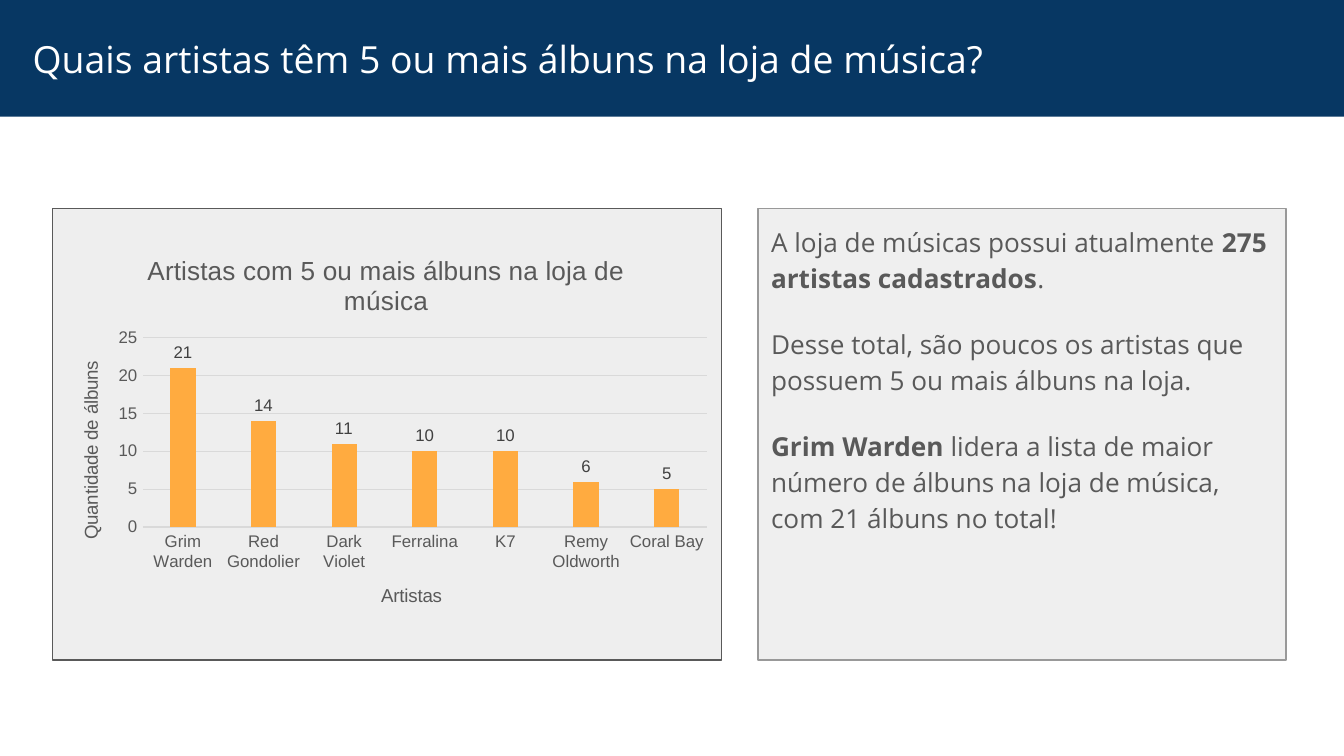
from lxml.etree import SubElement
from pptx import Presentation
from pptx.chart.data import CategoryChartData
from pptx.dml.color import RGBColor
from pptx.enum.chart import XL_CHART_TYPE as ChartType, XL_LABEL_POSITION as LabelPosition, XL_TICK_MARK as TickMark
from pptx.enum.shapes import MSO_SHAPE as Shape
from pptx.enum.text import MSO_ANCHOR as Anchor, PP_ALIGN as Align
from pptx.oxml.ns import qn
from pptx.util import Pt

COLORS = {
    "navy": "073763", "white": "FFFFFF", "panel": "EFEFEF", "chart panel": "EEEEEE",
    "border": "999999", "gray": "595959", "grid": "D9D9D9", "label": "404040", "bar": "FFAB40",
}
ALBUMS = {
    "Grim Warden": 21, "Red Gondolier": 14, "Dark Violet": 11, "Ferralina": 10,
    "K7": 10, "Remy Oldworth": 6, "Coral Bay": 5,
}
FINDINGS = [
    [("A loja de músicas possui atualmente ", False), ("275 artistas cadastrados", True), (".", False)],
    [("Desse total, são poucos os artistas que possuem 5 ou mais álbuns na loja.", False)],
    [("Grim Warden ", True),
     ("lidera a lista de maior número de álbuns na loja de música, com 21 álbuns no total!", False)],
]


class SlideBuilder:
    """Draws styled elements on the current slide."""

    def __init__(self, slide):
        self.slide = slide
        self.text_font = "Open Sans"
        self.chart_font = "Arial"

    def color(self, name):
        return RGBColor.from_string(COLORS[name])

    def style_font(self, font, family, size, color):
        font.name, font.size = family, Pt(size)
        font.color.rgb = self.color(color)

    def panel(self, box, fill, border=None):
        panel = self.slide.shapes.add_shape(Shape.RECTANGLE, *map(Pt, box))
        panel.shadow.inherit = False
        panel.fill.solid()
        panel.fill.fore_color.rgb = self.color(fill)
        if border:
            panel.line.color.rgb = self.color(border)
            panel.line.width = Pt(0.75)
        else:
            panel.line.fill.background()
        return panel

    def text(self, panel, paragraphs, size, color, anchor=Anchor.TOP, indent=7.2, line=1, after=0):
        frame = panel.text_frame
        frame.word_wrap = True
        frame.vertical_anchor = anchor
        frame.margin_left = Pt(indent)
        frame.margin_top = frame.margin_right = frame.margin_bottom = Pt(7.2)
        for index, pieces in enumerate(paragraphs):
            paragraph = frame.add_paragraph() if index else frame.paragraphs[0]
            paragraph.alignment = Align.LEFT
            paragraph.line_spacing, paragraph.space_after = line, Pt(after)
            self.style_font(paragraph.font, self.text_font, size, color)
            for words, bold in pieces:
                run = paragraph.add_run()
                run.text, run.font.bold = words, bold

    def place(self, part, index, **fractions):
        for old in part.findall(qn("c:layout")):
            part.remove(old)
        layout = SubElement(part, qn("c:layout"))
        part.insert(index, layout)
        manual = SubElement(layout, qn("c:manualLayout"))
        if "w" in fractions:
            SubElement(manual, qn("c:layoutTarget")).set("val", "inner")
        for mode in ("xMode", "yMode"):
            SubElement(manual, qn(f"c:{mode}")).set("val", "edge")
        for key, fraction in fractions.items():
            SubElement(manual, qn(f"c:{key}")).set("val", str(fraction))

    def chart_title(self, title, words, size, x, y):
        frame = title.text_frame
        frame.text = words
        font = frame.paragraphs[0].font
        self.style_font(font, self.chart_font, size, "gray")
        font.bold = False
        self.place(title._element, 1, x=x, y=y)

    def axis(self, axis, title, x, y):
        axis.major_tick_mark = axis.minor_tick_mark = TickMark.NONE
        self.style_font(axis.tick_labels.font, self.chart_font, 9, "gray")
        self.chart_title(axis.axis_title, title, 10, x, y)

    def grid_line(self, line):
        line.color.rgb = self.color("grid")
        line.width = Pt(0.75)

    def column_chart(self, box, title, values):
        data = CategoryChartData()
        data.categories = list(values)
        data.add_series("Álbuns", list(values.values()))
        chart = self.slide.shapes.add_chart(ChartType.COLUMN_CLUSTERED, *map(Pt, box), data).chart
        chart.has_legend = False
        self.style_font(chart.font, self.chart_font, 10, "gray")
        self.chart_title(chart.chart_title, title, 14, 0.14, 0.04)
        self.axis(chart.category_axis, "Artistas", 0.49, 0.86)
        self.axis(chart.value_axis, "Quantidade de álbuns", 0.04, 0.31)
        self.grid_line(chart.category_axis.format.line)
        self.grid_line(chart.value_axis.major_gridlines.format.line)
        chart.value_axis.format.line.fill.background()
        chart.value_axis.minimum_scale, chart.value_axis.maximum_scale = 0, 25
        chart.value_axis.major_unit = 5

        plot = chart.plots[0]
        plot.gap_width, plot.overlap, plot.vary_by_categories = 219, -27, False
        bars = plot.series[0]
        bars.format.fill.solid()
        bars.format.fill.fore_color.rgb = self.color("bar")
        labels = bars.data_labels
        labels.show_value, labels.position = True, LabelPosition.OUTSIDE_END
        self.style_font(labels.font, self.chart_font, 9, "label")
        self.place(chart._chartSpace.chart.plotArea, 0, x=0.14, y=0.26, w=0.84, h=0.47)


def main():
    deck = Presentation()
    deck.slide_width, deck.slide_height = Pt(720), Pt(405)
    builder = SlideBuilder(deck.slides.add_slide(deck.slide_layouts[6]))

    findings = builder.panel((406, 111.8, 283, 241.8), "panel", "border")
    builder.text(findings, FINDINGS, 14, "gray", line=1.15, after=16)
    builder.panel((28, 111.8, 358.4, 241.8), "chart panel", "gray")
    header = builder.panel((0, 0, 720, 62.6), "navy")
    question = "Quais artistas têm 5 ou mais álbuns na loja de música?"
    builder.text(header, [[(question, False)]], 20, "white", anchor=Anchor.MIDDLE, indent=17.5)
    builder.column_chart((26, 124.8, 360, 216), "Artistas com 5 ou mais álbuns na loja de música", ALBUMS)

    deck.save("out.pptx")


if __name__ == "__main__":
    main()
